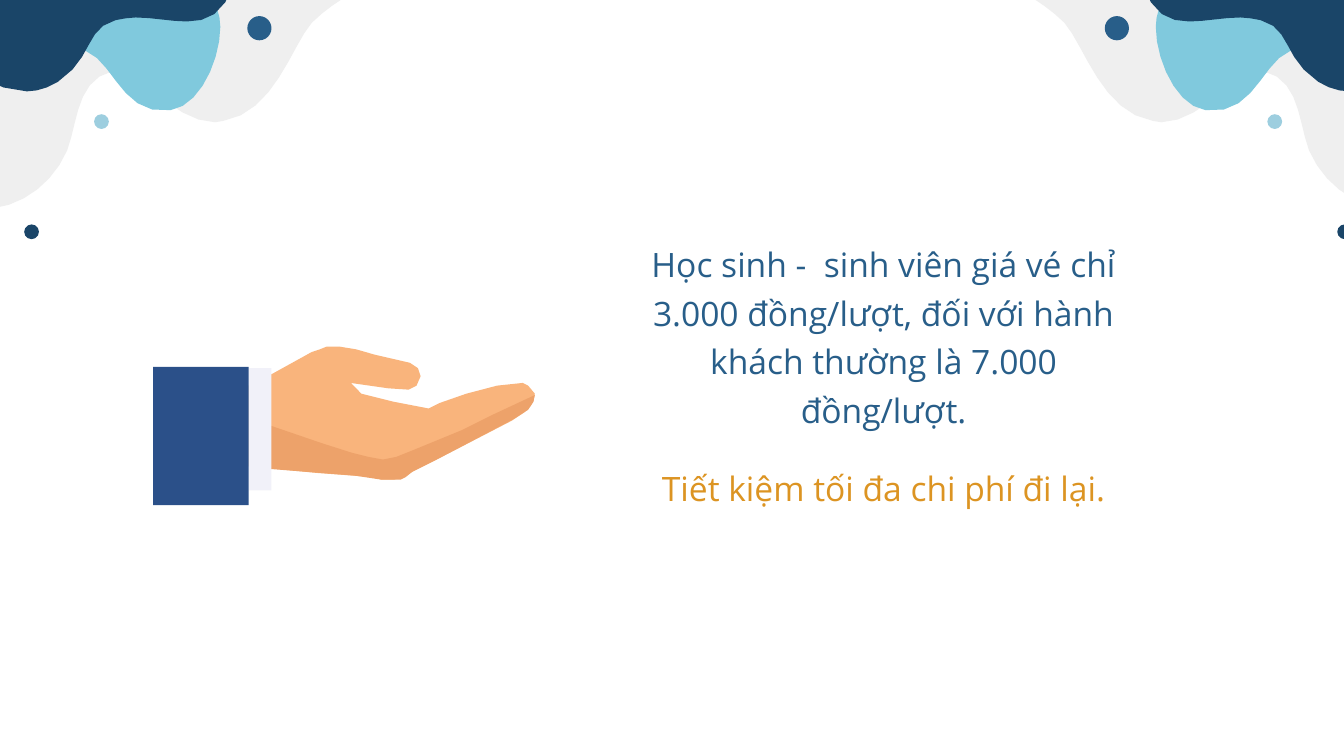
import dataclasses
import math

import pptx
import pptx.dml.color
import pptx.enum.shapes
import pptx.enum.text
import pptx.util


@dataclasses.dataclass(frozen=True)
class Theme:
    navy: str = "1A4568"
    blue: str = "285E89"
    sky: str = "80C9DD"
    pale_sky: str = "9DCEDF"
    grey: str = "EFEFEF"
    skin: str = "F9B47C"
    skin_shade: str = "EDA26A"
    cuff: str = "F1F1F9"
    sleeve: str = "2B5089"
    amber: str = "DC9422"
    font: str = "Open Sans"
    body_size: int = 18


THEME = Theme()
MIRROR_SUM = 10.24  # a left x and its mirrored x add up to this
CURVE_STEP = 0.12
MAX_CURVE_STEPS = 8

# Each outline is a start point, then (x, y) lines and six-number Bezier curves, in inches.
GREY_WAVE = [
    (2.54, -0.13), (2.78, -0.09), (2.55, -0.01), (2.47, 0.04, 2.39, 0.1, 2.32, 0.17),
    (2.17, 0.34, 2.04, 0.84, 1.66, 0.9), (1.64, 0.91, 1.62, 0.91, 1.6, 0.91),
    (1.35, 0.91, 1.12, 0.64, 1.03, 0.58), (0.98, 0.55, 0.93, 0.53, 0.88, 0.53),
    (0.83, 0.53, 0.78, 0.55, 0.74, 0.57), (0.57, 0.68, 0.57, 0.93, 0.5, 1.12),
    (0.4, 1.35, 0.19, 1.52, -0.05, 1.55), (-0.14, 0.01), (0.84, -0.07), (2.21, -0.12),
]
SKY_DROP = [
    (0.01, 0.22), (0.09, 0.37), (0.24, 0.47, 0.46, 0.31, 0.64, 0.38),
    (0.85, 0.46, 0.91, 0.87, 1.27, 0.82), (1.49, 0.79, 1.64, 0.44, 1.64, 0.2),
    (1.64, 0.15, 1.63, 0.11, 1.62, 0.08), (1.33, 0.01), (0.5, 0.01), (0.11, 0.06),
    (0.06, 0.09),
]
NAVY_WAVE = [
    (0.2, 0.68), (0.01, 0.68, -0.14, 0.57, -0.14, 0.57), (-0.14, -0.13), (1.74, -0.13),
    (1.67, 0.11, 1.54, 0.16, 1.39, 0.16), (1.27, 0.16, 1.14, 0.13, 1.01, 0.13),
    (0.96, 0.13, 0.91, 0.14, 0.86, 0.15), (0.63, 0.21, 0.7, 0.43, 0.43, 0.61),
    (0.35, 0.66, 0.27, 0.68, 0.2, 0.68),
]
WAVES = [(GREY_WAVE, THEME.grey), (SKY_DROP, THEME.sky), (NAVY_WAVE, THEME.navy)]
DOTS = [  # left, top, diameter, colour
    (1.84, 0.12, 0.18, THEME.blue),
    (0.7, 0.85, 0.11, THEME.pale_sky),
    (0.18, 1.67, 0.11, THEME.navy),
]

HAND = [
    (2.93, 3.57), (2.84, 3.57), (2.77, 3.55), (2.36, 3.52), (1.85, 3.47), (1.85, 2.87),
    (2.03, 2.78), (2.32, 2.62), (2.38, 2.6), (2.43, 2.58), (2.53, 2.58), (2.65, 2.6),
    (2.79, 2.64), (3.05, 2.7), (3.11, 2.74), (3.13, 2.8), (3.1, 2.87), (3.04, 2.9),
    (2.89, 2.89), (2.61, 2.85), (2.69, 2.93), (2.93, 2.99), (3.19, 3.04), (3.27, 3),
    (3.47, 2.93), (3.7, 2.87), (3.89, 2.85), (3.93, 2.87), (3.98, 2.93), (3.97, 2.98),
    (3.95, 3.02), (3.9, 3.07), (3.81, 3.13), (3.23, 3.43), (3.07, 3.51), (3, 3.55),
]
HAND_SHADE = [
    (1.88, 3.48), (1.99, 3.16), (2.4, 3.3), (2.62, 3.37), (2.74, 3.4), (2.85, 3.42),
    (2.95, 3.4), (3.1, 3.34), (3.44, 3.2), (3.66, 3.09), (3.98, 2.94), (3.97, 2.99),
    (3.93, 3.05), (3.82, 3.12), (3.25, 3.42), (3.07, 3.51), (3.02, 3.55), (2.98, 3.57),
    (2.84, 3.57), (2.64, 3.54),
]
MESSAGE = [
    ("Học sinh -  sinh viên giá vé chỉ 3.000 đồng/lượt, đối với hành khách thường là "
     "7.000 đồng/lượt.", THEME.blue),
    ("Tiết kiệm tối đa chi phí đi lại.", THEME.amber),
]


def inch(v):
    return pptx.util.Cm(v * 2.54)


def rgb(value):
    return pptx.dml.color.RGBColor.from_string(value)


def flatten(outline):
    """Turn an outline with Bezier curves into plain points, more for longer curves."""
    points = [outline[0]]
    for step in outline[1:]:
        if len(step) == 2:
            points.append(step)
            continue
        controls = [points[-1], step[:2], step[2:4], step[4:]]
        chord = math.dist(controls[0], controls[3])
        count = min(MAX_CURVE_STEPS, math.ceil(chord / CURVE_STEP))
        for i in range(1, count + 1):
            t = i / count
            weights = ((1 - t) ** 3, 3 * t * (1 - t) ** 2, 3 * t ** 2 * (1 - t), t ** 3)
            points.append(tuple(sum(w * c[axis] for w, c in zip(weights, controls))
                                for axis in (0, 1)))
    return points


class SlideBuilder:
    def __init__(self, s, theme):
        self.s = s
        self.theme = theme

    def group(self):
        return self.s.shapes.add_group_shape().shapes

    def paint(self, sp, color):
        sp.shadow.inherit = False
        sp.fill.solid()
        sp.fill.fore_color.rgb = rgb(color)
        sp.line.fill.background()

    def freeform(self, shapes, points, color):
        start, *rest = [(inch(x), inch(y)) for x, y in points]
        builder = shapes.build_freeform(*start)
        builder.add_line_segments(rest, close=True)
        self.paint(builder.convert_to_shape(), color)

    def preset(self, shapes, kind, box, color):
        self.paint(shapes.add_shape(kind, *map(inch, box)), color)

    def text(self, box, lines):
        tf = self.s.shapes.add_textbox(*map(inch, box)).text_frame
        tf.word_wrap = True
        tf.auto_size = pptx.enum.text.MSO_AUTO_SIZE.SHAPE_TO_FIT_TEXT
        font_format = {"name": self.theme.font, "size": pptx.util.Pt(self.theme.body_size)}
        paragraph_format = {"alignment": pptx.enum.text.PP_ALIGN.CENTER, "line_spacing": 1.2}
        for i, (content, color) in enumerate(lines):
            p = tf.add_paragraph() if i else tf.paragraphs[0]
            for key, value in paragraph_format.items():
                setattr(p, key, value)
            p.space_before = pptx.util.Pt(16 if i else 0)
            r = p.add_run()
            r.text = content
            for key, value in font_format.items():
                setattr(r.font, key, value)
            r.font.color.rgb = rgb(color)


def draw_corner(slide, mirrored):
    shapes = slide.group()
    for outline, color in WAVES:
        points = flatten(outline)
        if mirrored:
            points = [(MIRROR_SUM - x, y) for x, y in points]
        slide.freeform(shapes, points, color)
    for left, top, size, color in DOTS:
        x = MIRROR_SUM - left - size if mirrored else left
        slide.preset(shapes, pptx.enum.shapes.MSO_SHAPE.OVAL, (x, top, size, size), color)


def draw_hand(slide):
    shapes = slide.group()
    slide.freeform(shapes, HAND, THEME.skin)
    slide.freeform(shapes, HAND_SHADE, THEME.skin_shade)
    rectangle = pptx.enum.shapes.MSO_SHAPE.RECTANGLE
    slide.preset(shapes, rectangle, (1.85, 2.74, 0.17, 0.91), THEME.cuff)
    slide.preset(shapes, rectangle, (1.14, 2.73, 0.71, 1.03), THEME.sleeve)


def main():
    prs = pptx.Presentation()
    prs.slide_width, prs.slide_height = pptx.util.Cm(25.4), pptx.util.Cm(14.29)
    slide = SlideBuilder(prs.slides.add_slide(prs.slide_layouts[6]), THEME)
    for mirrored in (False, True):
        draw_corner(slide, mirrored)
    draw_hand(slide)
    slide.text((4.68, 1.71, 3.79, 2.14), MESSAGE)
    prs.save("out.pptx")


if __name__ == "__main__":
    main()
